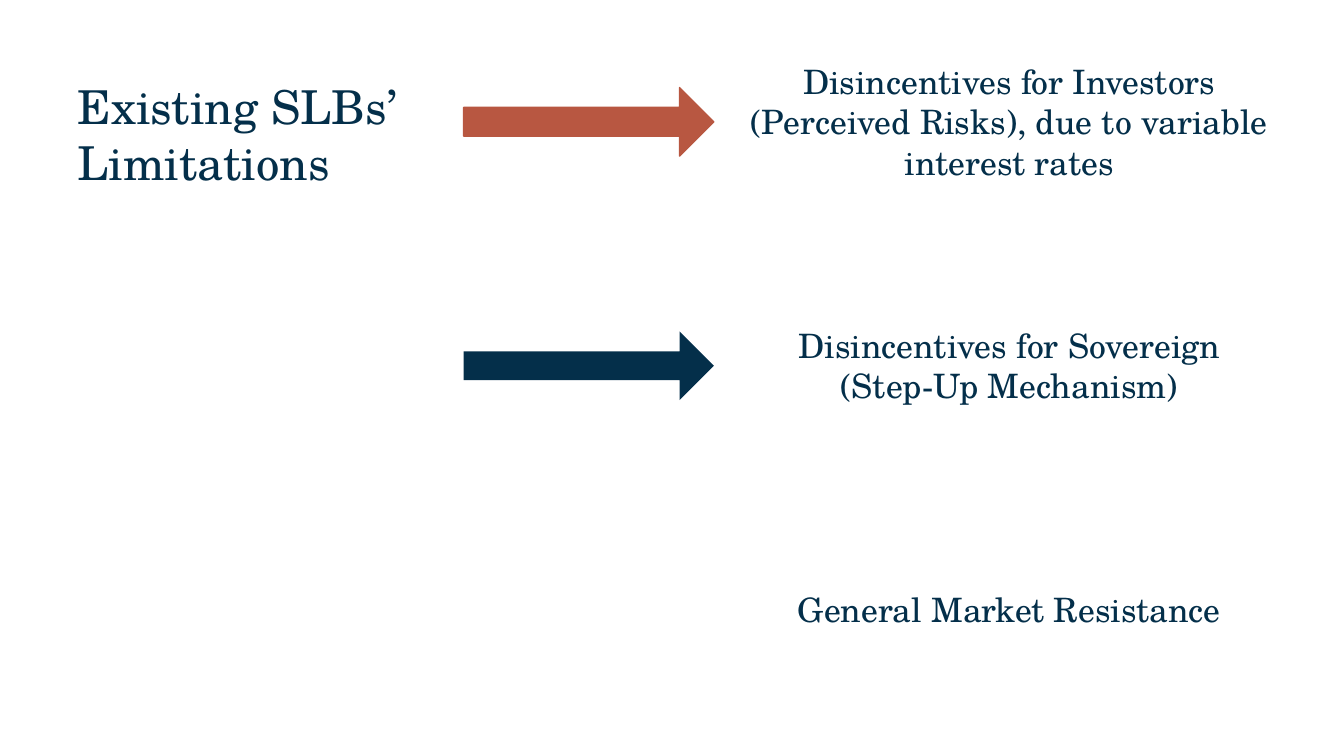
from pptx import Presentation
from pptx import util as u
from pptx.dml.color import RGBColor
from pptx.enum import shapes, text

NAVY, RUST, WHITE = "042F4A", "B85741", "FFFFFF"
FONT = "TeX Gyre Schola"


def colour(value):
    return RGBColor.from_string(value)


def apply_format(target, values):
    for name, value in values.items():
        setattr(target, name, value)


class SlideBuilder:
    def __init__(self, slide):
        self.slide = slide
        self.margins = {f"margin_{side}": u.Pt(7.2)
                        for side in ("left", "right", "top", "bottom")}

    def background(self, fill):
        self.slide.background.fill.solid()
        self.slide.background.fill.fore_color.rgb = colour(fill)

    def fill_text(self, frame, lines, size, alignment, anchor):
        apply_format(frame, {**self.margins, "word_wrap": True,
                             "vertical_anchor": anchor})
        for index, line in enumerate(lines):
            paragraph = frame.paragraphs[0] if index == 0 else frame.add_paragraph()
            paragraph.text = line
            paragraph.alignment = alignment
            apply_format(paragraph.font, {"name": FONT, "size": u.Pt(size)})
            paragraph.font.color.rgb = colour(NAVY)

    def title(self, lines, *box):
        shape = self.slide.shapes.add_textbox(*map(u.Pt, box))
        self.fill_text(shape.text_frame, lines, 25,
                       text.PP_ALIGN.LEFT, text.MSO_ANCHOR.TOP)

    def shape(self, kind, fill, box, line=None):
        shape = self.slide.shapes.add_shape(kind, *map(u.Pt, box))
        shape.shadow.inherit = False
        shape.fill.solid()
        shape.fill.fore_color.rgb = colour(fill)
        if line:
            shape.line.color.rgb = colour(line)
            shape.line.width = u.Pt(0.75)
        else:
            shape.line.fill.background()
        return shape

    def arrow(self, fill, line, *box):
        shape = self.shape(shapes.MSO_SHAPE.RIGHT_ARROW, fill, box, line)
        shape.adjustments[0] = 0.42
        shape.adjustments[1] = 0.5

    def panel(self, label, *box):
        shape = self.shape(shapes.MSO_SHAPE.RECTANGLE, WHITE, box)
        self.fill_text(shape.text_frame, [label], 18,
                       text.PP_ALIGN.CENTER, text.MSO_ANCHOR.MIDDLE)


def main():
    presentation = Presentation()
    presentation.slide_width, presentation.slide_height = u.Pt(720), u.Pt(405)
    slide = presentation.slides.add_slide(presentation.slide_layouts[6])
    builder = SlideBuilder(slide)
    builder.background(WHITE)

    # Title
    builder.title(["Existing SLBs’", "Limitations"], 34.5, 34.5, 291.5, 161)

    # Limitations, one per row, with an arrow where a colour is given
    rows = [
        ("Disincentives for Investors (Perceived Risks), due to variable "
         "interest rates", RUST, RUST),
        ("Disincentives for Sovereign (Step-Up Mechanism)", NAVY, None),
        ("General Market Resistance", None, None),
    ]
    for index, (label, fill, line) in enumerate(rows):
        top = 27.5 + index * 130.7
        if fill:
            builder.arrow(fill, line, 248.4, top + 19.4, 134, 36.7)
        builder.panel(label, 393.8, top, 293.8, 75)

    presentation.save("out.pptx")


if __name__ == "__main__":
    main()
